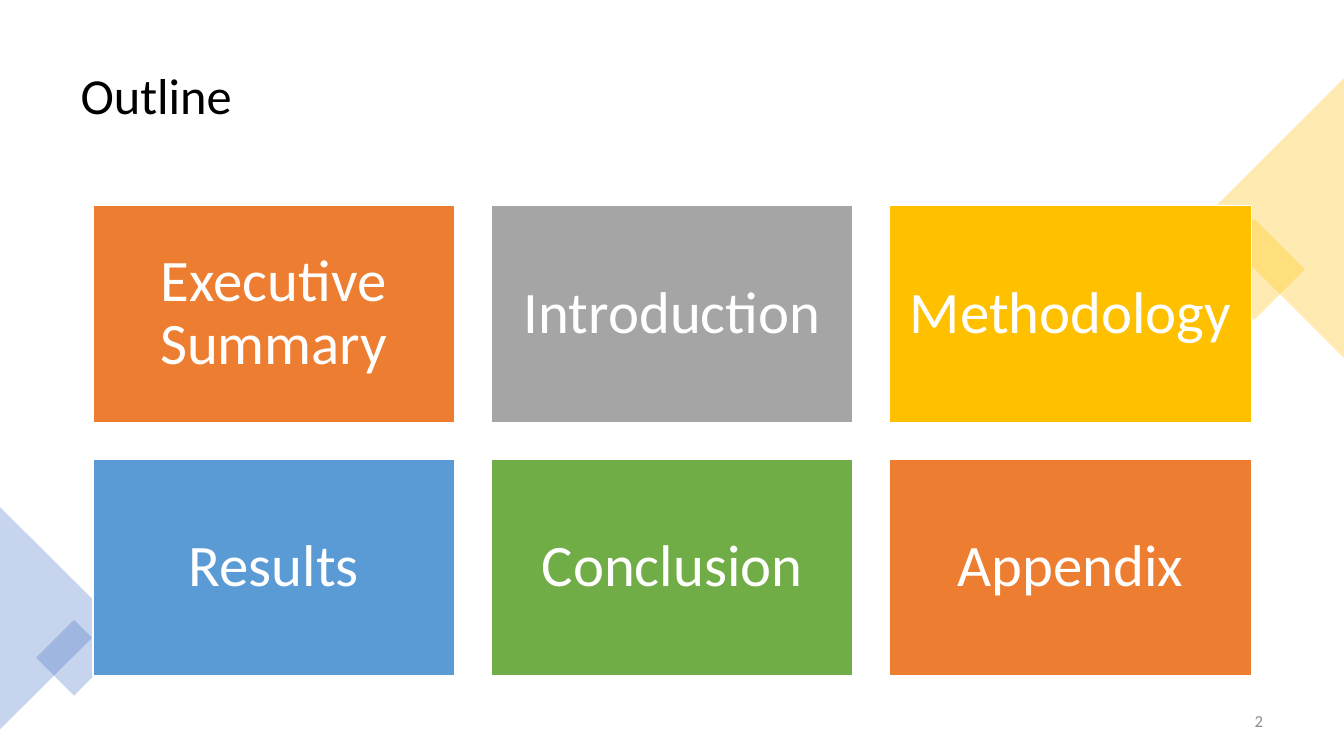
from lxml import etree
from pptx import Presentation, util as u
from pptx.dml.color import RGBColor
from pptx.enum import shapes, text
from pptx.oxml.ns import qn

BLACK = RGBColor(0x00, 0x00, 0x00)
WHITE = RGBColor(0xFF, 0xFF, 0xFF)
MUTED = RGBColor(0x8C, 0x8C, 0x8C)
ORANGE = RGBColor(0xED, 0x7D, 0x31)
GRAY = RGBColor(0xA5, 0xA5, 0xA5)
GOLD = RGBColor(0xFF, 0xC0, 0x00)
SKY = RGBColor(0x5B, 0x9B, 0xD5)
GREEN = RGBColor(0x70, 0xAD, 0x47)
BLUE = RGBColor(0x44, 0x72, 0xC4)

RECTANGLE = shapes.MSO_SHAPE.RECTANGLE
TRIANGLE = shapes.MSO_SHAPE.ISOSCELES_TRIANGLE
LEFT, CENTER, RIGHT = text.PP_ALIGN.LEFT, text.PP_ALIGN.CENTER, text.PP_ALIGN.RIGHT


class SlideBuilder:
    """Holds the text style and the current slide; lengths are in cm."""

    font_name = "Calibri"
    tile_inset = u.Cm(0.42)

    def __init__(self, page):
        self.page = page

    def add_words(self, shape, words, size, color, align, spacing=1.0):
        frame = shape.text_frame
        frame.word_wrap = True
        frame.vertical_anchor = text.MSO_ANCHOR.MIDDLE
        para = frame.paragraphs[0]
        para.alignment = align
        para.line_spacing = spacing
        span = para.add_run()
        span.text = words
        span.font.name = self.font_name
        span.font.size = u.Pt(size)
        span.font.color.rgb = color

    def label(self, place, words, size, color, align, spacing=1.0):
        box = self.page.shapes.add_textbox(*map(u.Cm, place))
        self.add_words(box, words, size, color, align, spacing)

    def shape(self, kind, place, color):
        shape = self.page.shapes.add_shape(kind, *map(u.Cm, place))
        shape.shadow.inherit = False
        shape.fill.solid()
        shape.fill.fore_color.rgb = color
        return shape

    def accent(self, kind, place, color, rotation):
        shape = self.shape(kind, place, color)
        shape.rotation = rotation
        shape.line.fill.background()
        # 30 % opacity
        fill_color = shape.element.spPr.find(qn("a:solidFill"))[0]
        etree.SubElement(fill_color, qn("a:alpha")).set("val", "30000")

    def tile(self, place, words, color):
        tile = self.shape(RECTANGLE, place, color)
        tile.line.color.rgb = WHITE
        tile.line.width = u.Pt(1)
        frame = tile.text_frame
        frame.margin_left = frame.margin_right = self.tile_inset
        frame.margin_top = frame.margin_bottom = self.tile_inset
        self.add_words(tile, words, 42, WHITE, CENTER, 0.9)


def main():
    deck = Presentation()
    deck.slide_width, deck.slide_height = u.Cm(33.87), u.Cm(19.05)
    builder = SlideBuilder(deck.slides.add_slide(deck.slide_layouts[6]))

    # Title
    builder.label((1.78, 0.89, 30.3, 3.15), "Outline", 36, BLACK, LEFT, 0.9)

    # Translucent accents on both edges
    builder.accent(RECTANGLE, (30.71, 5.89, 1.8, 1.8), GOLD, 45)
    builder.accent(TRIANGLE, (28.58, 3.73, 7.04, 3.53), GOLD, 270)
    builder.accent(TRIANGLE, (-1.4, 14.17, 5.61, 2.82), BLUE, 90)
    builder.accent(RECTANGLE, (1.19, 15.9, 1.35, 1.35), BLUE, 45)

    # Page number
    builder.label((24.46, 17.65, 7.62, 1.02), "2", 12, MUTED, RIGHT)

    # Section tiles, three to a row
    sections = [
        ("Executive Summary", ORANGE),
        ("Introduction", GRAY),
        ("Methodology", GOLD),
        ("Results", SKY),
        ("Conclusion", GREEN),
        ("Appendix", ORANGE),
    ]
    width, height, gap = 9.12, 5.47, 0.92
    for index, (name, color) in enumerate(sections):
        row, column = divmod(index, 3)
        left = 2.34 + column * (width + gap)
        top = 5.18 + row * (height + gap)
        builder.tile((left, top, width, height), name, color)

    deck.save("out.pptx")


if __name__ == "__main__":
    main()
